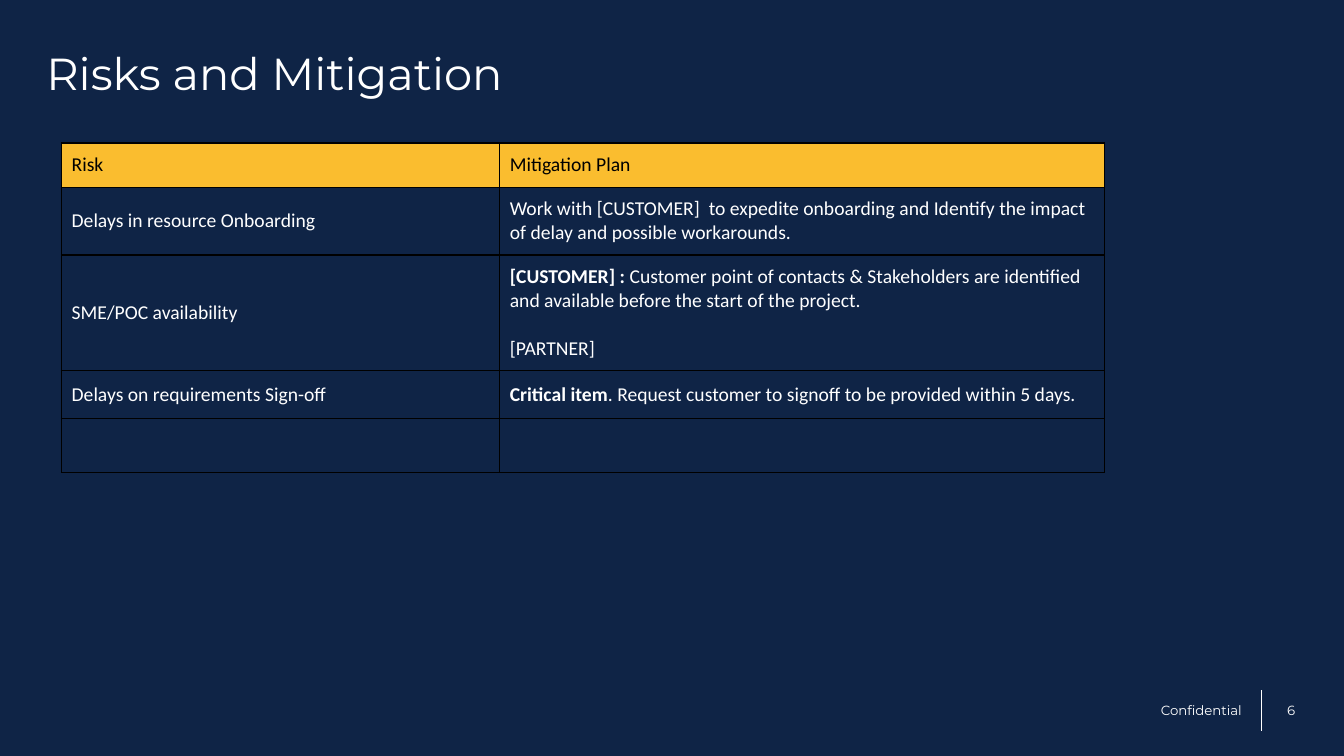
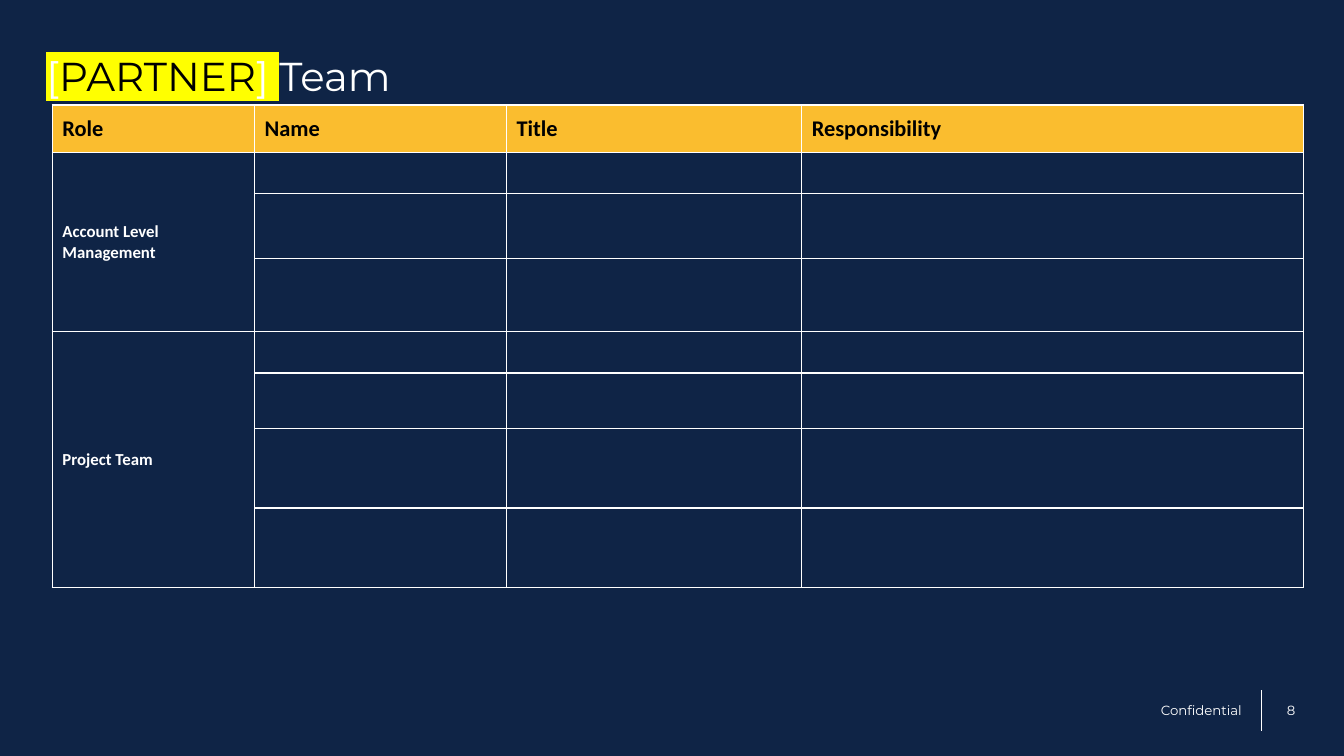
"""Build the risk and partner team slides with their shared title and footer."""
import pptx
import pptx.dml.color
import pptx.enum.shapes
import pptx.enum.text
import pptx.oxml
import pptx.oxml.ns
import pptx.util
from lxml import etree

Pt = pptx.util.Pt
RGBColor = pptx.dml.color.RGBColor
Align = pptx.enum.text.PP_ALIGN
Anchor = pptx.enum.text.MSO_ANCHOR
qn = pptx.oxml.ns.qn

NAVY = RGBColor(0x0F, 0x24, 0x46)
GOLD = RGBColor(0xFA, 0xBD, 0x2F)
WHITE = RGBColor(0xFF, 0xFF, 0xFF)
BLACK = RGBColor(0x00, 0x00, 0x00)
YELLOW = RGBColor(0xFF, 0xFF, 0x00)
TITLE_FONT = "Montserrat"
TABLE_FONT = "Calibri"
CELL_INSET = 7.2

RISK_SLIDE = {
    "number": 6,
    "title_size": 32,
    "title": [("Risks and Mitigation", {})],
    "origin": (44, 102.2),
    "columns": [313, 432],
    "rows": [31.5, 48.5, 82.5, 34.5, 38.5],
    "border": BLACK,
    "header": {"size": 14, "bold": False},
    "body": {"size": 14, "bold": False},
    "paragraph_gap": 17,
    "merges": [],
    "cells": [
        ["Risk", "Mitigation Plan"],
        ["Delays in resource Onboarding",
         "Work with [CUSTOMER]  to expedite onboarding and Identify the impact "
         "of delay and possible workarounds."],
        ["SME/POC availability",
         [[("[CUSTOMER] :", {"bold": True}),
           (" Customer point of contacts & Stakeholders are identified and "
            "available before the start of the project.", {})],
          [("[PARTNER]", {})]]],
        ["Delays on requirements Sign-off",
         [[("Critical item", {"bold": True}),
           (". Request customer to signoff to be provided within 5 days.", {})]]],
        ["", ""],
    ],
}

TEAM_SLIDE = {
    "number": 8,
    "title_size": 28.8,
    "title": [
        ("[", {"highlight": YELLOW}),
        ("PARTNER", {"highlight": YELLOW, "color": BLACK}),
        ("] ", {"highlight": YELLOW}),
        ("Team", {}),
    ],
    "origin": (37.4, 75),
    "columns": [144.5, 180, 210.8, 358.2],
    "rows": [34, 29.5, 46, 52.5, 29.5, 39.5, 57, 57],
    "border": WHITE,
    "header": {"size": 16, "bold": True},
    "body": {"size": 12, "bold": True},
    "paragraph_gap": 0,
    "merges": [(1, 3), (4, 7)],
    "cells": [
        ["Role", "Name", "Title", "Responsibility"],
        ["Account Level Management"],
        [],
        [],
        ["Project Team"],
    ],
}


def add_run(paragraph, text, size, font, color=WHITE, bold=False, highlight=None):
    run = paragraph.add_run()
    run.text = text
    run.font.size = Pt(size)
    run.font.bold = bold
    run.font.color.rgb = color
    run.font.name = font
    if highlight is not None:
        marker = etree.Element(qn("a:highlight"))
        etree.SubElement(marker, qn("a:srgbClr"), val=str(highlight))
        run.font._element.find(qn("a:latin")).addprevious(marker)


def add_text(slide, box, runs, size, inset=(0, 0), anchor=Anchor.MIDDLE, align=Align.LEFT):
    frame = slide.shapes.add_textbox(*map(Pt, box)).text_frame
    frame.word_wrap = True
    frame.vertical_anchor = anchor
    frame.margin_left = frame.margin_right = Pt(inset[0])
    frame.margin_top = frame.margin_bottom = Pt(inset[1])
    paragraph = frame.paragraphs[0]
    paragraph.alignment = align
    for text, style in runs:
        add_run(paragraph, text, size, TITLE_FONT, **style)


def add_footer(slide, number):
    top, height, divider_x = 493.2, 28.8, 901.4
    divider = slide.shapes.add_connector(
        pptx.enum.shapes.MSO_CONNECTOR.STRAIGHT,
        Pt(divider_x), Pt(top), Pt(divider_x), Pt(top + height))
    divider.line.color.rgb = WHITE
    divider.line.width = Pt(0.75)
    etree.SubElement(divider._element.spPr, qn("a:effectLst"))
    for left, width, text in ((892.8, 46.8, str(number)), (786.2, 115.2, "Confidential")):
        add_text(slide, (left, top, width, height), [(text, {})], 9.5,
                 inset=(14.4, 3.6), align=Align.RIGHT)


def set_borders(cell, color):
    properties = cell._tc.get_or_add_tcPr()
    for index, side in enumerate(("lnL", "lnR", "lnT", "lnB")):
        line = etree.Element(qn(f"a:{side}"), w=str(Pt(1)))
        fill = etree.SubElement(line, qn("a:solidFill"))
        etree.SubElement(fill, qn("a:srgbClr"), val=str(color))
        properties.insert(index, line)


def fill_cell(cell, content, style, color, paragraph_gap):
    paragraphs = [[(content, {})]] if isinstance(content, str) else content
    cell.margin_top = cell.margin_bottom = Pt(CELL_INSET)
    frame = cell.text_frame
    for index, runs in enumerate(paragraphs):
        paragraph = frame.add_paragraph() if index else frame.paragraphs[0]
        if index:
            paragraph.space_before = Pt(paragraph_gap)
        for text, changes in runs:
            add_run(paragraph, text, font=TABLE_FONT, color=color, **{**style, **changes})


def add_grid(slide, content):
    columns, rows = content["columns"], content["rows"]
    table = slide.shapes.add_table(
        len(rows), len(columns), *map(Pt, content["origin"]),
        Pt(sum(columns)), Pt(sum(rows))).table
    table.first_row = table.horz_banding = False
    for column, width in zip(table.columns, columns):
        column.width = Pt(width)
    for row, height in zip(table.rows, rows):
        row.height = Pt(height)
    for first, last in content["merges"]:
        table.cell(first, 0).merge(table.cell(last, 0))
    for row_index, row in enumerate(table.rows):
        for cell in row.cells:
            cell.vertical_anchor = Anchor.MIDDLE
            if row_index == 0:
                cell.fill.solid()
                cell.fill.fore_color.rgb = GOLD
            else:
                cell.fill.background()
            set_borders(cell, content["border"])
    for row_index, values in enumerate(content["cells"]):
        style, color = (content["body"], WHITE) if row_index else (content["header"], BLACK)
        for column_index, value in enumerate(values):
            if value:
                fill_cell(table.cell(row_index, column_index), value, style, color,
                          content["paragraph_gap"])


def add_content_slide(presentation, content):
    slide = presentation.slides.add_slide(presentation.slide_layouts[6])
    add_footer(slide, content["number"])
    add_text(slide, (33.1, 36.4, 893.5, 34.5), content["title"], content["title_size"],
             anchor=Anchor.BOTTOM)
    add_grid(slide, content)


def main():
    presentation = pptx.Presentation()
    presentation.slide_width = Pt(960)
    presentation.slide_height = Pt(540)
    background = presentation.slide_master.background.fill
    background.solid()
    background.fore_color.rgb = NAVY
    for content in (RISK_SLIDE, TEAM_SLIDE):
        add_content_slide(presentation, content)
    presentation.save("out.pptx")


if __name__ == "__main__":
    main()
